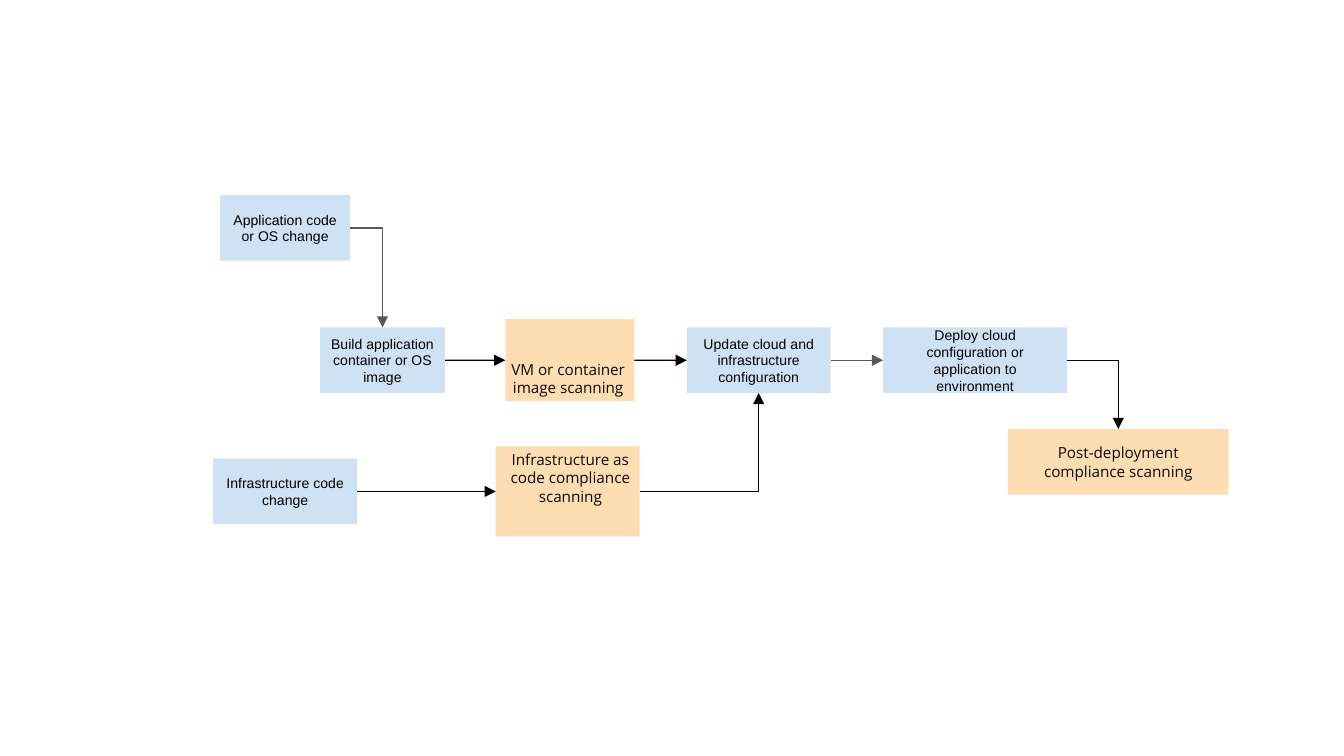
from lxml import etree
from pptx import Presentation
from pptx import util as u
from pptx.dml.color import RGBColor
from pptx.enum import shapes, text
from pptx.oxml import ns

BLUE = RGBColor(0xCF, 0xE2, 0xF3)
ORANGE = RGBColor(0xFF, 0xDD, 0xB3)
BLACK = RGBColor(0x00, 0x00, 0x00)
INK = RGBColor(0x0B, 0x0B, 0x0B)
GREY = RGBColor(0x59, 0x59, 0x59)

STEP = {"font": "Arial", "size": 7.5, "color": BLACK}
SCAN = {"font": "Open Sans", "size": 8.2, "color": INK}

APP_ROW, MAIN_ROW, POST_ROW, INFRA_ROW = 4.31, 6.81, 8.73, 9.29
TOP, LEFT, BOTTOM, RIGHT = range(4)


def write(box, content, *, font, size, color, anchor=text.MSO_ANCHOR.MIDDLE, inset=0.19):
    frame = box.text_frame
    frame.word_wrap = True
    frame.vertical_anchor = anchor
    frame.margin_left = frame.margin_right = u.Cm(0.19)
    frame.margin_top = frame.margin_bottom = u.Cm(inset)
    para = frame.paragraphs[0]
    para.alignment = text.PP_ALIGN.CENTER
    span = para.add_run()
    span.text = content
    span.font.name = font
    span.font.size = u.Pt(size)
    span.font.color.rgb = color


def add_box(page, left, middle, width, height=1.24, fill=BLUE):
    box = page.shapes.add_shape(
        shapes.MSO_SHAPE.RECTANGLE,
        u.Cm(left), u.Cm(middle - height / 2), u.Cm(width), u.Cm(height))
    box.shadow.inherit = False
    box.fill.solid()
    box.fill.fore_color.rgb = fill
    box.line.fill.background()
    return box


def add_step(page, content, left, middle, width):
    box = add_box(page, left, middle, width)
    write(box, content, **STEP)
    return box


def add_label(page, content, left, top, width, height):
    box = page.shapes.add_textbox(u.Cm(left), u.Cm(top), u.Cm(width), u.Cm(height))
    write(box, content, anchor=text.MSO_ANCHOR.TOP, inset=0.13, **SCAN)
    box.text_frame.auto_size = text.MSO_AUTO_SIZE.SHAPE_TO_FIT_TEXT


def add_arrow(page, source, target, side=LEFT, kind="line", color=BLACK):
    straight = kind == "line"
    kinds = shapes.MSO_CONNECTOR
    arrow = page.shapes.add_connector(
        kinds.STRAIGHT if straight else kinds.ELBOW, 0, 0, 0, 0)
    arrow.begin_connect(source, RIGHT)
    arrow.end_connect(target, side)
    arrow.line.color.rgb = color
    arrow.line.width = u.Pt(0.75)
    properties = arrow.element.spPr
    properties.find(ns.qn("a:prstGeom")).set("prst", kind)
    line = properties.find(ns.qn("a:ln"))
    etree.SubElement(line, ns.qn("a:tailEnd"), type="triangle")
    etree.SubElement(properties, ns.qn("a:effectLst"))


def main():
    deck = Presentation()
    deck.slide_width, deck.slide_height = u.Cm(25.4), u.Cm(14.29)
    page = deck.slides.add_slide(deck.slide_layouts[6])

    build = add_step(page, "Build application container or OS image", 6.05, MAIN_ROW, 2.36)
    deploy = add_step(page, "Deploy cloud configuration or application to environment",
                      16.69, MAIN_ROW, 3.48)
    update = add_step(page, "Update cloud and infrastructure configuration",
                      12.98, MAIN_ROW, 2.72)
    app_change = add_step(page, "Application code or OS change", 4.16, APP_ROW, 2.46)
    infra_change = add_step(page, "Infrastructure code change", 4.03, INFRA_ROW, 2.72)

    post_scan = add_box(page, 19.05, POST_ROW, 4.17, fill=ORANGE)
    write(post_scan, "Post-deployment compliance scanning", **SCAN)
    image_scan = add_box(page, 9.55, MAIN_ROW, 2.44, 1.55, ORANGE)
    code_scan = add_box(page, 9.37, INFRA_ROW, 2.72, 1.7, ORANGE)

    add_arrow(page, app_change, build, TOP, "bentConnector2", GREY)
    add_arrow(page, update, deploy, LEFT, "bentConnector3", GREY)
    add_arrow(page, build, image_scan)
    add_arrow(page, infra_change, code_scan)
    add_arrow(page, image_scan, update)
    add_arrow(page, code_scan, update, BOTTOM, "bentConnector2")
    add_arrow(page, deploy, post_scan, TOP, "bentConnector2")

    add_label(page, "Infrastructure as code compliance scanning", 9.37, 8.38, 2.82, 1.32)
    add_label(page, "VM or container image scanning", 9.19, 6.68, 3.1, 0.97)

    deck.save("out.pptx")


if __name__ == "__main__":
    main()
